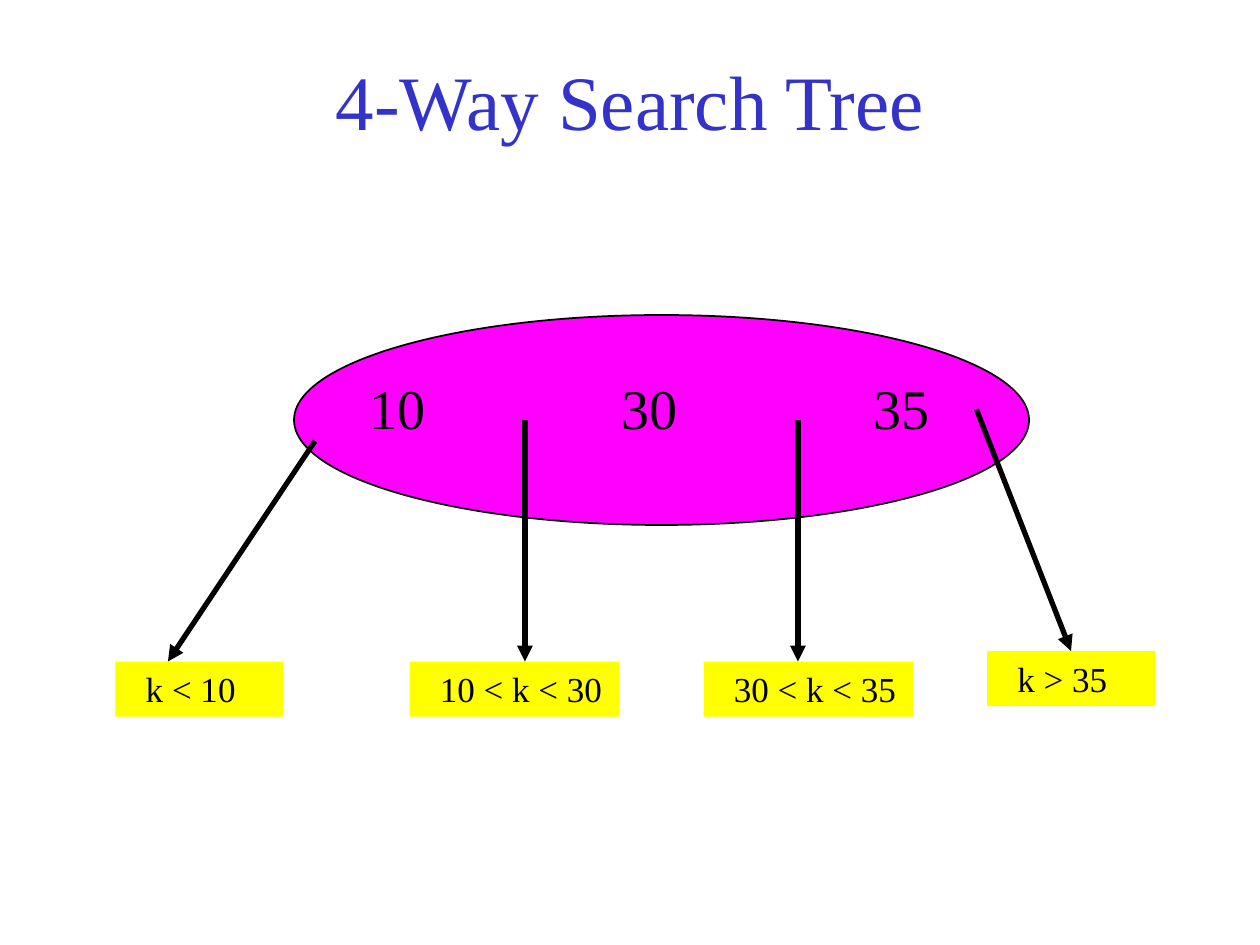
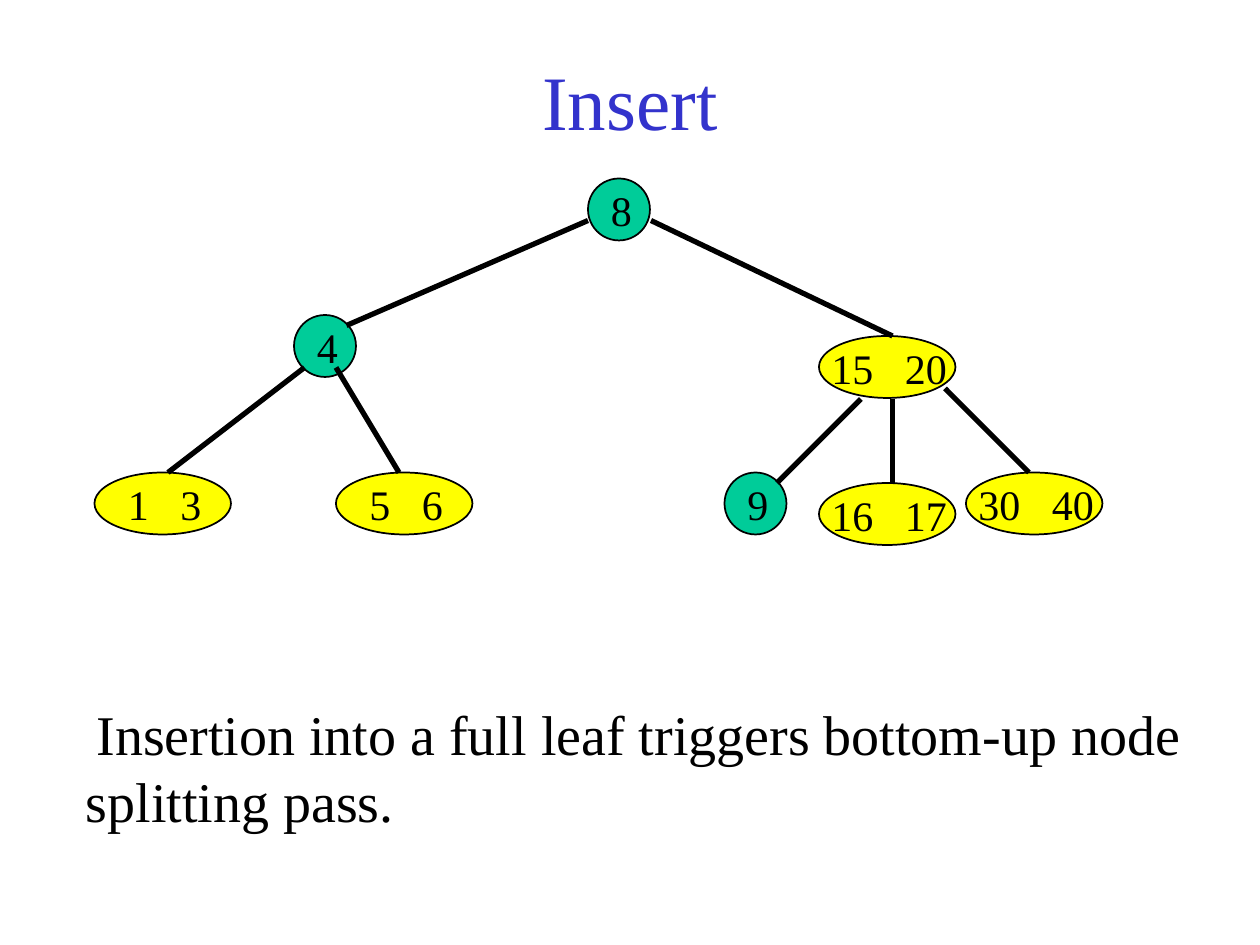
from lxml.etree import SubElement
from pptx import Presentation
from pptx.dml.color import RGBColor
from pptx.enum.shapes import MSO_CONNECTOR as CXN, MSO_SHAPE as SHAPE
from pptx.enum.text import MSO_ANCHOR as ANCHOR, MSO_AUTO_SIZE as FIT, PP_ALIGN as ALIGN
from pptx.oxml.ns import qn
from pptx.util import Inches, Pt

COLORS = {"title": "3333CC", "ink": "000000", "full": "FFFF00",
          "single": "00CC99", "root": "FF00FF"}
FONT = "Times New Roman"
COLS, ROWS = 120, 90
WIDTH, HEIGHT = Inches(10), Inches(7.5)
NODE_H, WIDE_W = 5.9, 13


def rgb(name):
    """Return a palette colour."""
    return RGBColor.from_string(COLORS[name])


def col(n):
    """Convert grid columns to a length."""
    return round(WIDTH * n / COLS)


def row(n):
    """Convert grid rows to a length."""
    return round(HEIGHT * n / ROWS)


def grid(x, y, w, h):
    """Convert a grid box to left, top, width and height."""
    return col(x), row(y), col(w), row(h)


def write(sp, text, size=24, color="ink", align=ALIGN.LEFT, anchor=ANCHOR.TOP,
          left=0.1, indent=0, tab=0):
    """Write one formatted paragraph, with an evenly spaced tab for each gap."""
    tf = sp.text_frame
    tf.word_wrap, tf.auto_size = True, FIT.NONE
    tf.vertical_anchor, tf.margin_left = anchor, Inches(left)
    p = tf.paragraphs[0]
    p.alignment = align
    r = p.add_run()
    r.text = text
    r.font.name, r.font.size, r.font.color.rgb = FONT, Pt(size), rgb(color)
    pPr = p._p.get_or_add_pPr()
    if indent:
        pPr.set("indent", str(Pt(indent)))
    if tab:
        stops = SubElement(pPr, qn("a:tabLst"))
        for i in range(text.count("\t")):
            SubElement(stops, qn("a:tab"), pos=str(col(tab * (i + 1))), algn="l")


def add_text(s, box, text, **fmt):
    """Add a text box on the grid."""
    write(s.shapes.add_textbox(*grid(*box)), text, **fmt)


def add_filled(s, kind, box, fill, outline=True):
    """Add a flat filled shape on the grid."""
    sp = s.shapes.add_shape(kind, *grid(*box))
    sp.shadow.inherit = False
    sp.fill.solid()
    sp.fill.fore_color.rgb = rgb(fill)
    if outline:
        sp.line.color.rgb, sp.line.width = rgb("ink"), Pt(1)
    else:
        sp.line.fill.background()
    return sp


def add_line(s, x1, y1, x2, y2, arrow=False):
    """Add a thick straight line, optionally with an arrowhead."""
    cxn = s.shapes.add_connector(CXN.STRAIGHT, col(x1), row(y1), col(x2), row(y2))
    cxn.line.color.rgb, cxn.line.width = rgb("ink"), Pt(3)
    if arrow:
        SubElement(cxn.line._get_or_add_ln(), qn("a:tailEnd"), type="triangle")
    SubElement(cxn._element.spPr, qn("a:effectLst"))
    return cxn


def add_titled_slide(prs, title):
    """Add a slide with the shared title style."""
    s = prs.slides.add_slide(prs.slide_layouts[5])
    sp = s.shapes.title
    sp.left, sp.top, sp.width, sp.height = grid(9, 2, 102, 15)
    write(sp, title, size=44, color="title", align=ALIGN.CENTER, anchor=ANCHOR.MIDDLE)
    return s


def add_search_node(s, x, y):
    """Draw a three-key node with an arrow to each of its four key ranges."""
    add_filled(s, SHAPE.OVAL, (x + 17, y, 70, 20), "root")
    add_text(s, (x + 23, y + 5, 59, 7.7), "10\t30\t35", size=32, tab=24)
    branches = [("k < 10", 0, 33, 16, (19, 12), 5),
                ("10 < k < 30", 28, 33, 20, (39, 10), 39),
                ("30 < k < 35", 56, 33, 20, (65, 10), 65),
                ("k > 35", 83, 32, 16, (82, 9), 91)]
    for text, left, top, w, (x1, y1), tip in branches:
        label = add_filled(s, SHAPE.RECTANGLE, (x + left, y + top, w, 5.25),
                           "full", outline=False)
        write(label, text, size=20, left=0.24)
        arrow = add_line(s, x + x1, y + y1, x + tip, y + top, arrow=True)
        if tip == left + w / 2:
            arrow.end_connect(label, 0)


def add_tree_node(s, x, y, *keys):
    """Draw a round node for one key or a wide node for two."""
    wide = len(keys) == 2
    long_keys = len(keys[0]) == 2
    w, fill = (WIDE_W, "full") if wide else (NODE_H, "single")
    add_filled(s, SHAPE.OVAL, (x, y, w, NODE_H), fill)
    shift, text_w, tab = (0, 18, 7) if long_keys else (2, 10, 5) if wide else (1, 5, 0)
    add_text(s, (x + shift, y, text_w, 6), "\t".join(keys), tab=tab)


def add_tree(s, x, y):
    """Draw the search tree from its top left corner."""
    nodes = [(47, 0, "8"), (19, 13, "4"), (69, 15, "15", "20"),
             (0, 28, "1", "3"), (23, 28, "5", "6"), (60, 28, "9"),
             (69, 29, "16", "17"), (83, 28, "30", "40")]
    edges = [(47, 4, 24, 14), (53, 4, 76, 15), (20, 18, 7, 28), (23, 18, 29, 28),
             (73, 21, 65, 29), (76, 21, 76, 29), (81, 20, 89, 28)]
    for left, top, *keys in nodes:
        add_tree_node(s, x + left, y + top, *keys)
    for x1, y1, x2, y2 in edges:
        add_line(s, x + x1, y + y1, x + x2, y + y2)


def main():
    """Build both slides and save the deck."""
    prs = Presentation()
    prs.slide_width, prs.slide_height = WIDTH, HEIGHT
    add_search_node(add_titled_slide(prs, "4-Way Search Tree"), 11, 30)
    s = add_titled_slide(prs, "Insert")
    add_tree(s, 9, 17)
    add_text(s, (7, 66, 111, 14),
             "Insertion into a full leaf triggers bottom-up node splitting pass.",
             size=32, indent=6)
    prs.save("out.pptx")


if __name__ == "__main__":
    main()
